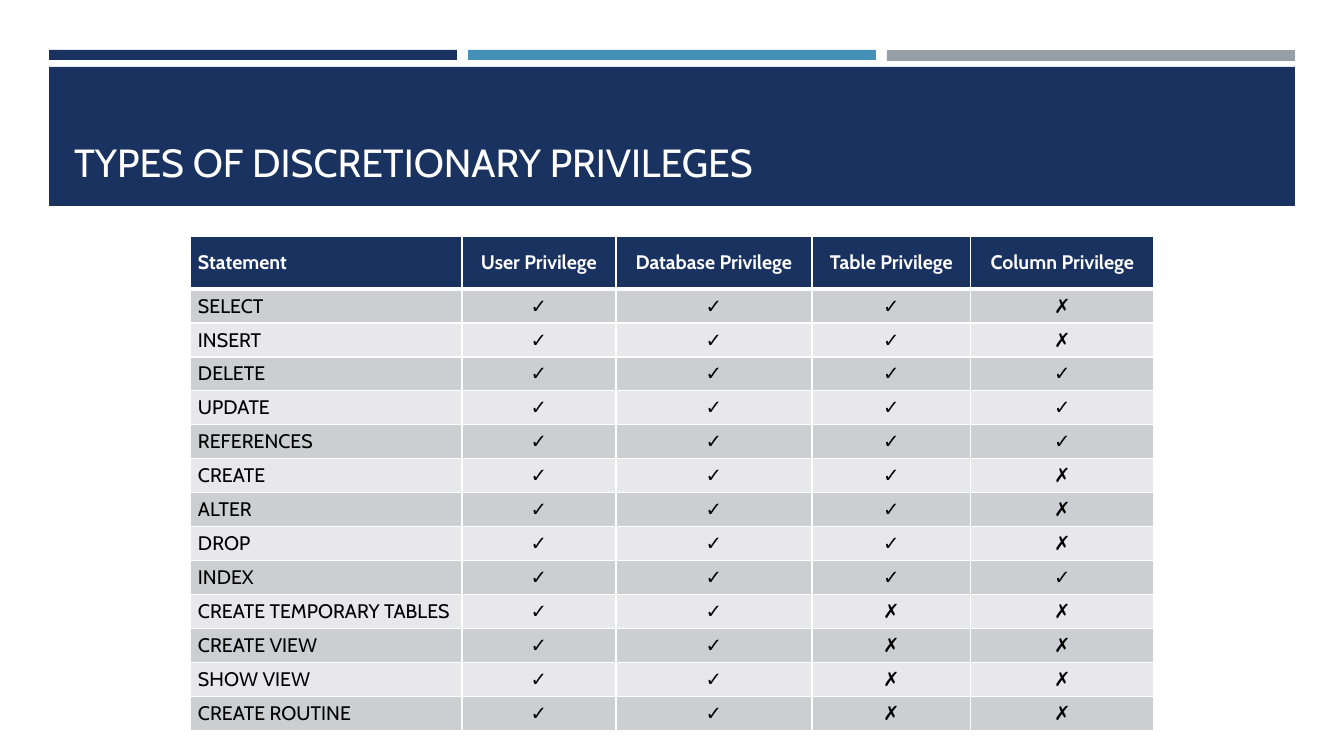
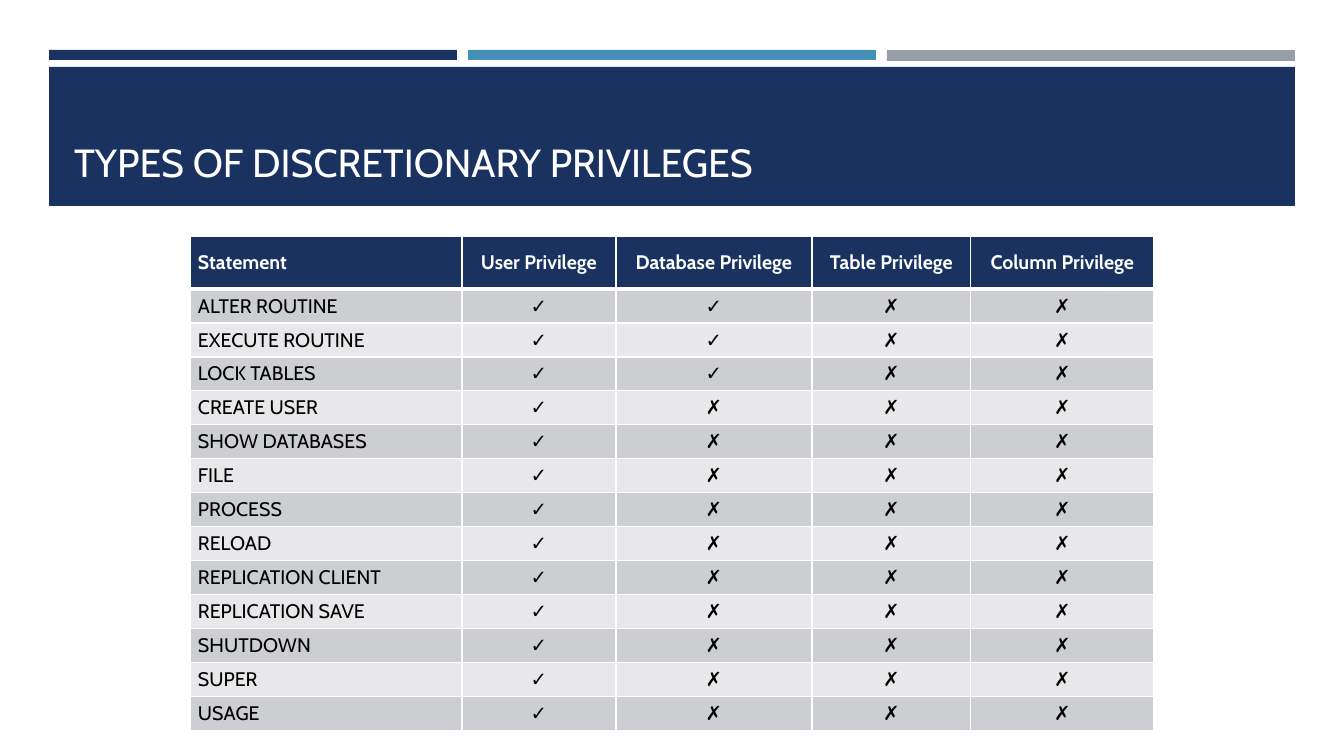
import pptx
import pptx.dml.color
import pptx.enum.shapes
import pptx.enum.text
import pptx.util
from dataclasses import dataclass
from lxml import etree


@dataclass(frozen=True)
class Theme:
    font: str = "Cabin"
    title_size: int = 28
    table_size: int = 14
    navy: str = "1A3260"
    blue: str = "4590B8"
    gray: str = "969FA7"
    white: str = "FFFFFF"
    black: str = "000000"
    row_fills: tuple = ("CDCED2", "E8E8EA")
    thin_line: int = 1
    header_line: int = 3


theme = Theme()
rgb = pptx.dml.color.RGBColor.from_string
align = pptx.enum.text.PP_ALIGN
anchor = pptx.enum.text.MSO_ANCHOR


def px(pixels):
    return pptx.util.Emu(round(pixels * 914400 / 100.8))


def add_run(paragraph, text, size, color, bold=False):
    run = paragraph.add_run()
    run.text = text
    run.font.name = theme.font
    run.font.size = pptx.util.Pt(size)
    run.font.bold = bold
    run.font.color.rgb = rgb(color)


# Content
title_text = "TYPES OF DISCRETIONARY PRIVILEGES"
headings = ["Statement", "User Privilege", "Database Privilege",
            "Table Privilege", "Column Privilege"]
privilege_pages = [
    [
        ("SELECT", "✓✓✓✗"),
        ("INSERT", "✓✓✓✗"),
        ("DELETE", "✓✓✓✓"),
        ("UPDATE", "✓✓✓✓"),
        ("REFERENCES", "✓✓✓✓"),
        ("CREATE", "✓✓✓✗"),
        ("ALTER", "✓✓✓✗"),
        ("DROP", "✓✓✓✗"),
        ("INDEX", "✓✓✓✓"),
        ("CREATE TEMPORARY TABLES", "✓✓✗✗"),
        ("CREATE VIEW", "✓✓✗✗"),
        ("SHOW VIEW", "✓✓✗✗"),
        ("CREATE ROUTINE", "✓✓✗✗"),
    ],
    [
        ("ALTER ROUTINE", "✓✓✗✗"),
        ("EXECUTE ROUTINE", "✓✓✗✗"),
        ("LOCK TABLES", "✓✓✗✗"),
        ("CREATE USER", "✓✗✗✗"),
        ("SHOW DATABASES", "✓✗✗✗"),
        ("FILE", "✓✗✗✗"),
        ("PROCESS", "✓✗✗✗"),
        ("RELOAD", "✓✗✗✗"),
        ("REPLICATION CLIENT", "✓✗✗✗"),
        ("REPLICATION SAVE", "✓✗✗✗"),
        ("SHUTDOWN", "✓✗✗✗"),
        ("SUPER", "✓✗✗✗"),
        ("USAGE", "✓✗✗✗"),
    ],
]
column_widths = [272, 154, 196, 159, 183]
header_height, row_height = 53, 34

presentation = pptx.Presentation()
presentation.slide_width, presentation.slide_height = px(1344), px(756)
layout = presentation.slide_layouts[5]
slides = [presentation.slides.add_slide(layout) for page in privilege_pages]

# Shared bands: drawn once, then moved behind the title on the layout
bands = [(49 + 419 * index, 50, 408, height, color) for index, (height, color)
         in enumerate([(10, theme.navy), (10, theme.blue), (11, theme.gray)])]
bands.append((49, 67, 1246, 139, theme.navy))
for position, (left, top, width, height, color) in enumerate(bands):
    band = slides[0].shapes.add_shape(
        pptx.enum.shapes.MSO_SHAPE.RECTANGLE, px(left), px(top), px(width), px(height))
    band.shadow.inherit = False
    band.fill.solid()
    band.fill.fore_color.rgb = rgb(color)
    band.line.fill.background()
    layout.shapes.element.insert(2 + position, band.element)

for slide, privileges in zip(slides, privilege_pages):
    # Title
    title = slide.shapes.title
    title.left, title.top, title.width, title.height = px(64), px(81), px(1216), px(109)
    title.text_frame.word_wrap = True
    title.text_frame.vertical_anchor = anchor.BOTTOM
    paragraph = title.text_frame.paragraphs[0]
    paragraph.alignment = align.LEFT
    add_run(paragraph, title_text, theme.title_size, theme.white)

    # Table grid
    rows = [headings] + [[statement, *marks] for statement, marks in privileges]
    table = slide.shapes.add_table(
        len(rows), len(headings), px(190), px(236), px(sum(column_widths)),
        px(header_height + row_height * len(privileges))).table
    for column, width in zip(table.columns, column_widths):
        column.width = px(width)
    for row_index, row in enumerate(table.rows):
        row.height = px(row_height if row_index else header_height)

    # Table cells
    for row_index, values in enumerate(rows):
        is_header = row_index == 0
        fill = theme.navy if is_header else theme.row_fills[(row_index - 1) % 2]
        line_widths = {"lnL": theme.thin_line, "lnR": theme.thin_line,
                       "lnT": theme.header_line if row_index == 1 else theme.thin_line,
                       "lnB": theme.header_line if is_header else theme.thin_line}
        for column_index, text in enumerate(values):
            cell = table.cell(row_index, column_index)
            cell.vertical_anchor = anchor.MIDDLE
            cell.margin_left = cell.margin_right = px(8)
            cell.margin_top = cell.margin_bottom = px(3)
            properties = cell._tc.get_or_add_tcPr()
            for side, width in line_widths.items():
                properties.append(etree.fromstring(
                    '<a:%s xmlns:a="http://schemas.openxmlformats.org/drawingml/2006/main"'
                    ' w="%d"><a:solidFill><a:srgbClr val="%s"/></a:solidFill></a:%s>'
                    % (side, pptx.util.Pt(width), theme.white, side)))
            cell.fill.solid()
            cell.fill.fore_color.rgb = rgb(fill)
            paragraph = cell.text_frame.paragraphs[0]
            paragraph.alignment = align.CENTER if column_index else align.LEFT
            add_run(paragraph, text, theme.table_size,
                    theme.white if is_header else theme.black, is_header)

presentation.save("out.pptx")
